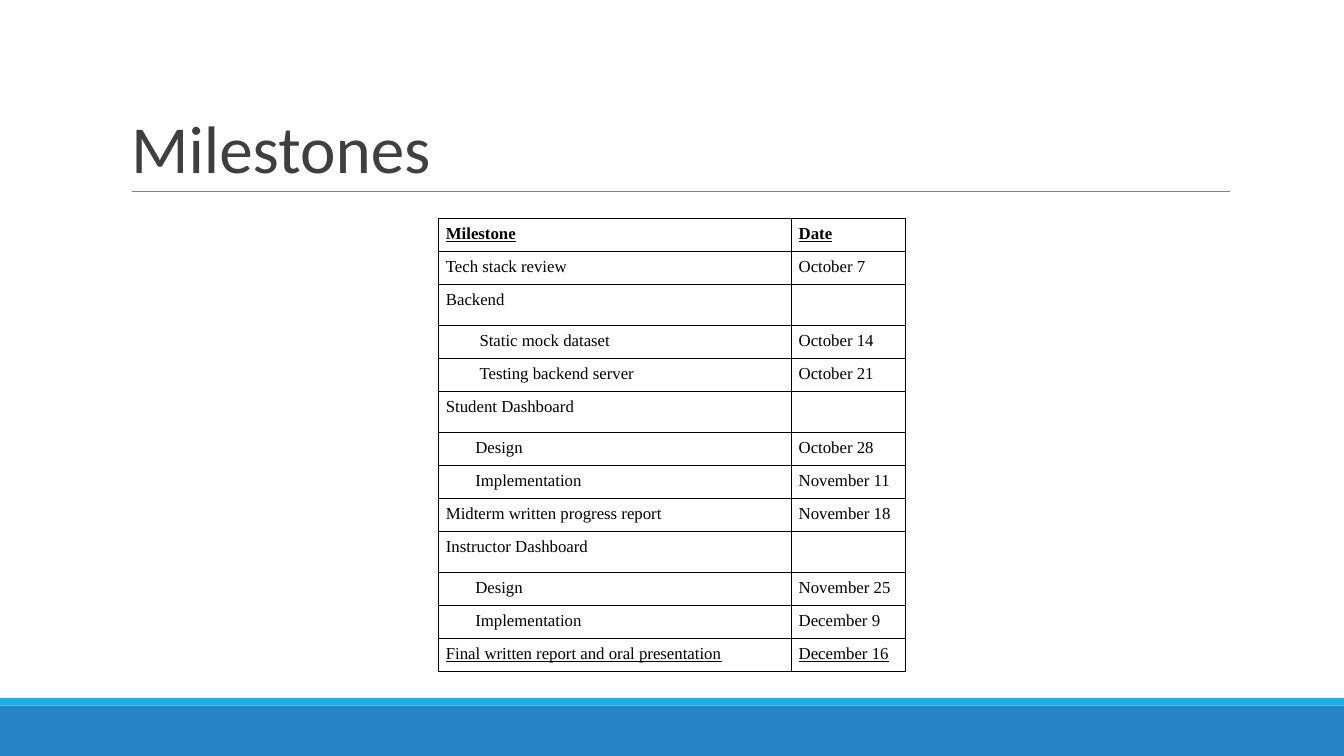
from dataclasses import dataclass

from lxml.etree import SubElement as Sub
from pptx import Presentation
from pptx.dml.color import RGBColor as RGB
from pptx.enum.shapes import MSO_CONNECTOR as Link, MSO_SHAPE as Kind
from pptx.enum.text import MSO_ANCHOR as Anchor, PP_ALIGN as Align
from pptx.oxml.ns import qn
from pptx.slide import Slide
from pptx.table import _Cell as Cell
from pptx.text.text import TextFrame as Frame
from pptx.util import Emu, Pt

SCALE = 6350  # EMU in one px of a 1920 x 1080 slide


@dataclass(frozen=True)
class Theme:
    ink: str = "000000"
    title: str = "3F3F3F"
    rule: str = "7F7F7F"
    band: str = "2683C6"
    strip: str = "1CADE4"
    head: str = "Calibri"
    body: str = "Times New Roman"
    big: int = 48
    small: int = 12
    thin: float = 0.75


@dataclass(frozen=True)
class Bar:
    top: int
    height: int
    color: str


@dataclass(frozen=True)
class Step:
    name: str
    date: str = ""
    indent: int = 0
    bold: bool = False
    under: bool = False


THEME = Theme()
WIDE, HIGH = 1920, 1080
BARS = [Bar(1008, 72, THEME.band), Bar(997, 11, THEME.strip)]
STEPS = [
    Step("Milestone", "Date", bold=True, under=True),
    Step("Tech stack review", "October 7"),
    Step("Backend"),
    Step("Static mock dataset", "October 14", indent=48),
    Step("Testing backend server", "October 21", indent=48),
    Step("Student Dashboard"),
    Step("Design", "October 28", indent=42),
    Step("Implementation", "November 11", indent=42),
    Step("Midterm written progress report", "November 18"),
    Step("Instructor Dashboard"),
    Step("Design", "November 25", indent=42),
    Step("Implementation", "December 9", indent=42),
    Step("Final written report and oral presentation", "December 16", under=True),
]
COLS = (504, 162)
ROW, GROUP = 47, 59  # heights of dated rows and of group rows
SIDE, EDGE = 10, 9  # cell margins


def px(count: int) -> Emu:
    return Emu(count * SCALE)


def write(frame: Frame, text: str, *, font: str, size: int, color: str,
          bold: bool = False, under: bool = False, space: float = 1.0) -> None:
    para = frame.paragraphs[0]
    para.alignment = Align.LEFT
    para.line_spacing = space
    run = para.add_run()
    run.text = text
    face = run.font
    face.name, face.size = font, Pt(size)
    face.bold, face.underline = bold, under
    face.color.rgb = RGB.from_string(color)


def draw_bar(slide: Slide, bar: Bar) -> None:
    shape = slide.shapes.add_shape(Kind.RECTANGLE, 0, px(bar.top), px(WIDE), px(bar.height))
    shape.shadow.inherit = False
    shape.fill.solid()
    shape.fill.fore_color.rgb = RGB.from_string(bar.color)
    shape.line.fill.background()


def draw_rule(slide: Slide, left: int, right: int, top: int) -> None:
    rule = slide.shapes.add_connector(Link.STRAIGHT, px(left), px(top), px(right), px(top))
    rule.line.color.rgb = RGB.from_string(THEME.rule)
    rule.line.width = Pt(THEME.thin)
    Sub(rule._element.spPr, qn("a:effectLst"))


def draw_title(slide: Slide, text: str) -> None:
    title = slide.shapes.title
    title.left, title.top, title.width, title.height = map(px, (173, 45, 1584, 229))
    title.text_frame.vertical_anchor = Anchor.BOTTOM
    write(title.text_frame, text, font=THEME.head, size=THEME.big,
          color=THEME.title, space=0.85)


def frame_cell(cell: Cell) -> None:
    props = cell._tc.get_or_add_tcPr()
    for side in ("L", "R", "T", "B"):
        line = Sub(props, qn(f"a:ln{side}"), w=str(Pt(THEME.thin)))
        Sub(Sub(line, qn("a:solidFill")), qn("a:srgbClr"), val=THEME.ink)
    cell.fill.background()


def fill_cell(cell: Cell, text: str, step: Step, indent: int) -> None:
    frame_cell(cell)
    if not text:
        return
    cell.margin_left, cell.margin_right = px(SIDE + indent), px(SIDE)
    cell.margin_top = cell.margin_bottom = px(EDGE)
    write(cell.text_frame, text, font=THEME.body, size=THEME.small,
          color=THEME.ink, bold=step.bold, under=step.under)


def draw_table(slide: Slide, left: int, top: int) -> None:
    highs = [ROW if step.date else GROUP for step in STEPS]
    table = slide.shapes.add_table(len(STEPS), len(COLS), px(left), px(top),
                                   px(sum(COLS)), px(sum(highs))).table
    table.first_row = table.horz_banding = False
    for col, width in zip(table.columns, COLS):
        col.width = px(width)
    for row, step, high in zip(table.rows, STEPS, highs):
        row.height = px(high)
        fill_cell(row.cells[0], step.name, step, step.indent)
        fill_cell(row.cells[1], step.date, step, 0)


def main() -> None:
    deck = Presentation()
    deck.slide_width, deck.slide_height = px(WIDE), px(HIGH)
    slide = deck.slides.add_slide(deck.slide_layouts[5])

    # Footer bands and the rule below the title
    for bar in BARS:
        draw_bar(slide, bar)
    draw_rule(slide, 189, 1757, 273)

    # Title and schedule
    draw_title(slide, "Milestones")
    draw_table(slide, 627, 312)

    deck.save("out.pptx")


if __name__ == "__main__":
    main()
